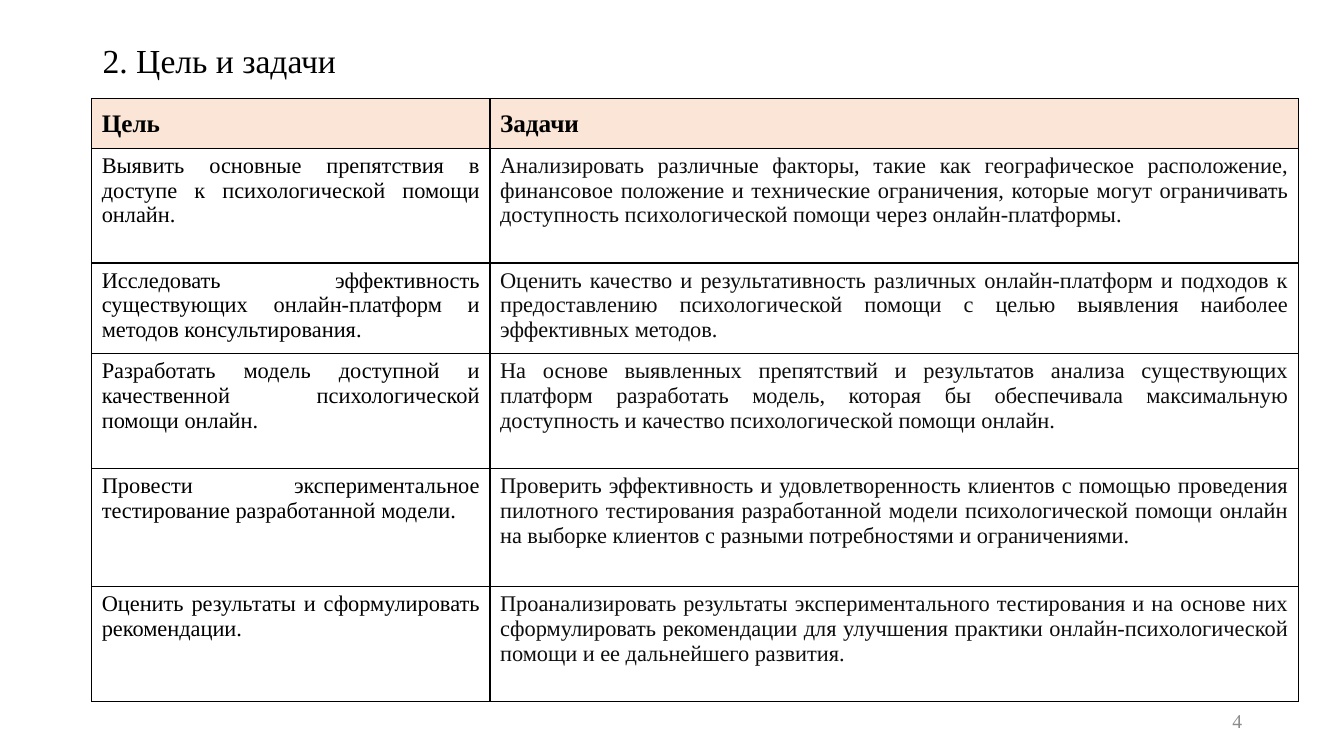
from dataclasses import dataclass

from pptx import Presentation
from pptx import util as u
from pptx.dml.color import RGBColor
from pptx.enum import text
from pptx.oxml import parse_xml
from pptx.oxml.ns import nsdecls

FONT = "Times New Roman"
COLORS = {
    "black": "000000",
    "body": "0D0D0D",
    "header": "FBE5D6",
    "number": "8C8C8C",
}
COLUMN_WIDTHS = (3.95, 8.02)
HEADER_HEIGHT = 0.49


@dataclass
class GoalRow:
    goal: str
    task: str
    height: float


ROWS = [
    GoalRow(
        "Выявить основные препятствия в доступе к психологической помощи онлайн.",
        "Анализировать различные факторы, такие как географическое расположение, "
        "финансовое положение и технические ограничения, которые могут "
        "ограничивать доступность психологической помощи через онлайн-платформы.",
        1.14,
    ),
    GoalRow(
        "Исследовать эффективность существующих онлайн-платформ и методов консультирования.",
        "Оценить качество и результативность различных онлайн-платформ и подходов к "
        "предоставлению психологической помощи с целью выявления наиболее "
        "эффективных методов.",
        0.9,
    ),
    GoalRow(
        "Разработать модель доступной и качественной психологической помощи онлайн.",
        "На основе выявленных препятствий и результатов анализа существующих "
        "платформ разработать модель, которая бы обеспечивала максимальную "
        "доступность и качество психологической помощи онлайн.",
        1.14,
    ),
    GoalRow(
        "Провести экспериментальное тестирование разработанной модели.",
        "Проверить эффективность и удовлетворенность клиентов с помощью проведения "
        "пилотного тестирования разработанной модели психологической помощи онлайн "
        "на выборке клиентов с разными потребностями и ограничениями.",
        1.17,
    ),
    GoalRow(
        "Оценить результаты и сформулировать рекомендации.",
        "Проанализировать результаты экспериментального тестирования и на основе них "
        "сформулировать рекомендации для улучшения практики онлайн-психологической "
        "помощи и ее дальнейшего развития.",
        1.14,
    ),
]


def write(frame, words: str, *, size: float, color: str = "black", bold: bool = False,
          align=text.PP_ALIGN.LEFT, spacing: float | None = None) -> None:
    para = frame.paragraphs[0]
    para.alignment = align
    if spacing:
        para.line_spacing = spacing
    span = para.add_run()
    span.text = words
    span.font.name = FONT
    span.font.size = u.Pt(size)
    span.font.bold = bold
    span.font.color.rgb = RGBColor.from_string(COLORS[color])


def add_text(page, words: str, left: float, top: float, width: float, height: float,
             **style) -> None:
    box = page.shapes.add_textbox(*map(u.Inches, (left, top, width, height)))
    frame = box.text_frame
    frame.word_wrap = True
    frame.vertical_anchor = text.MSO_ANCHOR.MIDDLE
    write(frame, words, **style)


def add_borders(cell) -> None:
    properties = cell._tc.get_or_add_tcPr()
    for index, side in enumerate(("lnL", "lnR", "lnT", "lnB")):
        line = parse_xml(
            f'<a:{side} {nsdecls("a")} w="{u.Pt(1)}"><a:solidFill>'
            f'<a:srgbClr val="{COLORS["black"]}"/></a:solidFill></a:{side}>'
        )
        properties.insert(index, line)


def fill_cell(cell, words: str, *, header: bool = False, color: str = "black") -> None:
    if header:
        cell.fill.solid()
        cell.fill.fore_color.rgb = RGBColor.from_string(COLORS["header"])
        cell.vertical_anchor = text.MSO_ANCHOR.MIDDLE
    else:
        cell.fill.background()
    add_borders(cell)
    write(cell.text_frame, words, size=18 if header else 16, bold=header, color=color,
          align=text.PP_ALIGN.JUSTIFY)


def add_goal_table(page, left: float, top: float) -> None:
    heights = [HEADER_HEIGHT] + [row.height for row in ROWS]
    table = page.shapes.add_table(
        len(heights), len(COLUMN_WIDTHS), u.Inches(left), u.Inches(top),
        u.Inches(sum(COLUMN_WIDTHS)), u.Inches(sum(heights)),
    ).table
    table.first_row = table.horz_banding = False
    for column, width in zip(table.columns, COLUMN_WIDTHS):
        column.width = u.Inches(width)
    for table_row, height in zip(table.rows, heights):
        table_row.height = u.Inches(height)

    for column, heading in enumerate(("Цель", "Задачи")):
        fill_cell(table.cell(0, column), heading, header=True)
    for index, row in enumerate(ROWS, start=1):
        fill_cell(table.cell(index, 0), row.goal)
        fill_cell(table.cell(index, 1), row.task, color="body")


def main() -> None:
    deck = Presentation()
    deck.slide_width, deck.slide_height = u.Inches(13.33), u.Inches(7.5)
    page = deck.slides.add_slide(deck.slide_layouts[6])

    # Title
    add_text(page, "2. Цель и задачи", 0.92, 0.16, 11.5, 0.92, size=24, spacing=0.9)
    # Goals and tasks
    add_goal_table(page, 0.91, 0.98)
    # Page number
    add_text(page, "4", 9.42, 6.95, 3, 0.4, size=14, color="number",
             align=text.PP_ALIGN.RIGHT)

    deck.save("out.pptx")


if __name__ == "__main__":
    main()
